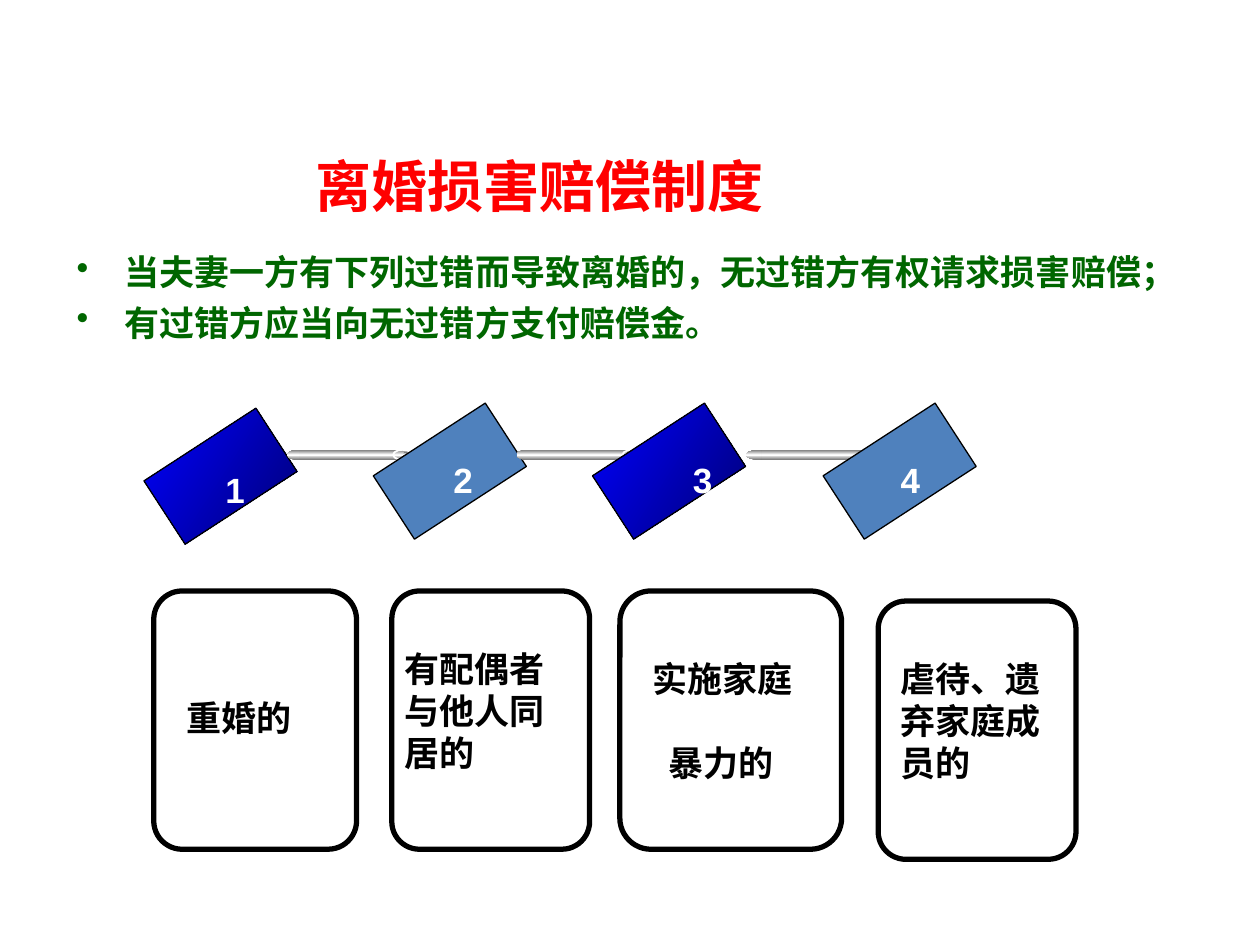
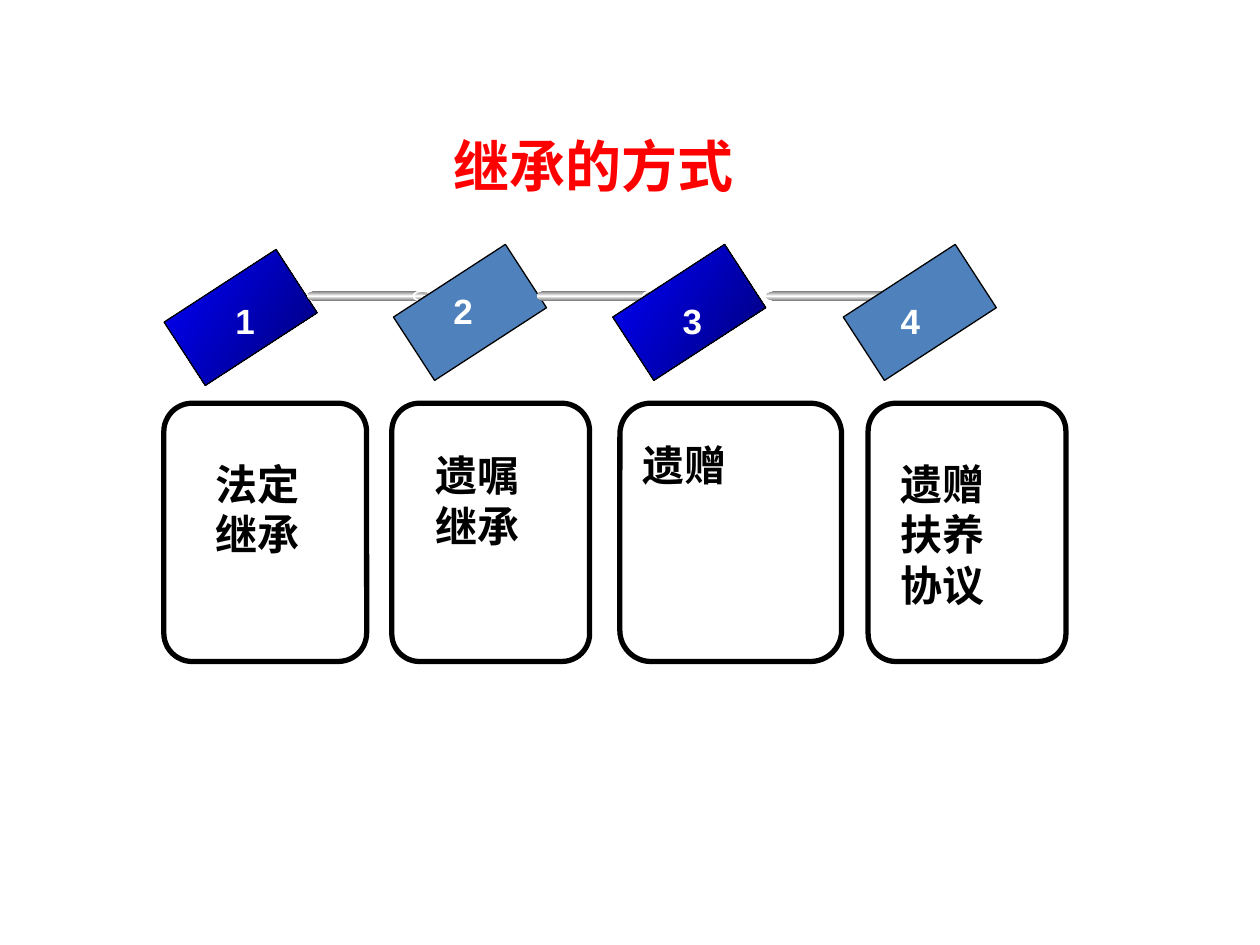
from dataclasses import dataclass

from pptx import Presentation
from pptx import util as u
from pptx.dml.color import RGBColor
from pptx.enum import shapes, text
from pptx.oxml import parse_xml
from pptx.oxml.ns import nsdecls, qn
from pptx.oxml.xmlchemy import OxmlElement

RED = RGBColor(0xFF, 0x00, 0x00)
GREEN = RGBColor(0x00, 0x66, 0x00)
BLACK = RGBColor(0x00, 0x00, 0x00)
WHITE = RGBColor(0xFF, 0xFF, 0xFF)
BLUE = RGBColor(0x00, 0x00, 0xFF)
NAVY = RGBColor(0x00, 0x00, 0x76)
STEEL = RGBColor(0x4F, 0x81, 0xBD)
GREY = RGBColor(0x76, 0x76, 0x76)

LATIN, CJK = "Arial", "Noto Sans CJK SC"
WIDTH, HEIGHT = u.Inches(10), u.Inches(7.5)
COLUMNS, ROWS = 100, 75

BLOCK_LEFTS = (0, 18.2, 35.6, 53.9)
RODS = ((8.3, 1), (26.5, 1), (44.7, 1.3))
ROD_TOP, ROD_HEIGHT = 3.6, 0.8
CARD_COLUMNS = ((31.1, 15.7), (49.2, 17.6))
CARD_HEIGHT = 20.5


@dataclass
class Box:
    """An area in grid columns and rows."""
    left: float
    top: float
    width: float
    height: float

    def inner(self, left, top, width, height):
        """Return a box placed from this box's corner."""
        return Box(self.left + left, self.top + top, width, height)

    def emu(self):
        """Return left, top, width and height as slide lengths."""
        across, down = WIDTH / COLUMNS, HEIGHT / ROWS
        return (round(self.left * across), round(self.top * down),
                round(self.width * across), round(self.height * down))


@dataclass
class Reason:
    """A card's wording with its text and number offsets."""
    lines: list
    text_at: tuple
    number_at: tuple


def write(frame, lines, size=20, color=BLACK, font=LATIN, align=None,
          bullet=None, gap=0, indent=0):
    """Fill a text frame with bold paragraphs in one format."""
    frame.word_wrap = True
    frame.auto_size = text.MSO_AUTO_SIZE.NONE
    frame.vertical_anchor = text.MSO_ANCHOR.TOP
    for index, line in enumerate(lines):
        paragraph = frame.add_paragraph() if index else frame.paragraphs[0]
        properties = paragraph._p.get_or_add_pPr()
        if bullet:
            properties.set("marL", str(u.Inches(0.38)))
            properties.set("indent", str(-u.Inches(0.38)))
            mark = OxmlElement("a:buChar")
            mark.set("char", bullet)
            properties.append(mark)
        elif index and indent:
            properties.set("marL", str(u.Inches(indent)))
        paragraph.alignment = align
        paragraph.line_spacing = u.Pt(size * 1.2)
        paragraph.space_before = u.Pt(gap if index else 0)
        run = paragraph.add_run()
        run.text = line
        run.font.size, run.font.bold = u.Pt(size), True
        run.font.name, run.font.color.rgb = font, color
        east_asian = OxmlElement("a:ea")
        east_asian.set("typeface", CJK)
        run.font._element.find(qn("a:latin")).addnext(east_asian)


def add_text(slide, box, lines, **style):
    """Add a text box."""
    write(slide.shapes.add_textbox(*box.emu()).text_frame, lines, **style)


def paint_gradient(shape, colors, angle):
    """Fill a shape with evenly spaced colours along a fixed angle."""
    step = 100000 // (len(colors) - 1)
    stops = "".join(f'<a:gs pos="{i * step}"><a:srgbClr val="{c}"/></a:gs>'
                    for i, c in enumerate(colors))
    shape.fill.gradient()
    properties = shape._element.spPr
    properties.replace(properties.find(qn("a:gradFill")), parse_xml(
        f'<a:gradFill {nsdecls("a")} rotWithShape="0"><a:gsLst>{stops}</a:gsLst>'
        f'<a:lin ang="{angle * 60000}" scaled="0"/></a:gradFill>'))


def add_figure(slide, kind, box, fill=None, angle=90, line=None, weight=1):
    """Add a preset shape with a plain, gradient or empty fill."""
    shape = slide.shapes.add_shape(kind, *box.emu())
    shape.shadow.inherit = False
    if fill is None:
        shape.fill.background()
    elif isinstance(fill, list):
        paint_gradient(shape, fill, angle)
    else:
        shape.fill.solid()
        shape.fill.fore_color.rgb = fill
    if line is None:
        shape.line.fill.background()
    else:
        shape.line.color.rgb = line
        shape.line.width = u.Pt(weight)
    return shape


def add_title(slide, box, wording):
    """Move and format the title placeholder."""
    title = slide.shapes.title
    title.left, title.top, title.width, title.height = box.emu()
    write(title.text_frame, [wording], size=32, color=RED, font=CJK,
          align=text.PP_ALIGN.JUSTIFY)


def add_rod(slide, box, stretch):
    """Draw a metal rod with rounded ends and a hollow tip."""
    oval, bar = shapes.MSO_SHAPE.OVAL, shapes.MSO_SHAPE.RECTANGLE
    parts = ((oval, 0, 0, 1.7, box.height, None),
             (bar, 0.95, 0, 8.2, box.height, None),
             (oval, 8.4, 0, 1.5, box.height, WHITE),
             (oval, 9.2, 0.2, 0.4, 0.3, None))
    for kind, left, top, width, height, line in parts:
        part = box.inner(left * stretch, top, width * stretch, height)
        add_figure(slide, kind, part, [GREY, WHITE, GREY], line=line)


def add_chain(slide, box, reasons):
    """Draw four tilted numbered blocks joined by rods."""
    for index, left in enumerate(BLOCK_LEFTS):
        fill = STEEL if index % 2 else [BLUE, NAVY]
        block = box.inner(left, 0 if index else 0.4, 6, 10.6)
        add_figure(slide, shapes.MSO_SHAPE.RECTANGLE, block, fill, angle=33,
                   line=BLACK, weight=0.75).rotation = 57
        if index < len(RODS):
            start, stretch = RODS[index]
            add_rod(slide, box.inner(start, ROD_TOP, 9.9 * stretch, ROD_HEIGHT), stretch)
    for number, (left, reason) in enumerate(zip(BLOCK_LEFTS, reasons), 1):
        across, down = reason.number_at
        add_text(slide, box.inner(left + across, down, 3.8, 4.4), [str(number)], color=WHITE)


def add_card(slide, box, reason, size):
    """Draw a rounded outline with its wording."""
    card = add_figure(slide, shapes.MSO_SHAPE.ROUNDED_RECTANGLE, box, line=BLACK, weight=3)
    card.adjustments[0] = 0.14
    left, top, width = reason.text_at
    add_text(slide, box.inner(left, top, width, 13), reason.lines, size=size,
             gap=24, indent=0.13)


def build_slide(deck, title, title_box, chain_box, cards_top, first, last,
                reasons, size, last_drop=0, points=()):
    """Build a title, optional points, a chain and a row of cards."""
    slide = deck.slides.add_slide(deck.slide_layouts[5])
    add_title(slide, title_box, title)
    if points:
        add_text(slide, Box(5.1, 19.4, 89.8, 11.8), points, color=GREEN, bullet="•", gap=5)
    columns = ((first, 16.1), *CARD_COLUMNS, (last, 15.7))
    for (left, width), reason in zip(columns, reasons):
        drop = last_drop if left == last else 0
        add_card(slide, Box(left, cards_top + drop, width, CARD_HEIGHT), reason, size)
    add_chain(slide, chain_box, reasons)


def main():
    """Build and save both slides."""
    deck = Presentation()
    deck.slide_width, deck.slide_height = WIDTH, HEIGHT
    build_slide(
        deck, "离婚损害赔偿制度", Box(24, 11.5, 43.3, 8.6), Box(14.5, 32.1, 60, 10.6),
        cards_top=46.9, first=12.2, last=69.7, last_drop=0.8, size=20,
        points=["当夫妻一方有下列过错而导致离婚的，无过错方有权请求损害赔偿；",
                "有过错方应当向无过错方支付赔偿金。"],
        reasons=[Reason(["重婚的"], (1.6, 7.9, 12), (2.4, 4.6)),
                 Reason(["有配偶者与他人同居的"], (0, 4, 14.2), (2.3, 3.8)),
                 Reason(["实施家庭", "暴力的"], (1.6, 4.8, 14.2), (3.9, 3.8)),
                 Reason(["虐待、遗弃家庭成员的"], (0.8, 4, 14.2), (2.1, 3.8))])
    build_slide(
        deck, "继承的方式", Box(35, 9.9, 28.2, 8.6), Box(16.1, 19.5, 60, 10.6),
        cards_top=32, first=13, last=68.9, size=24,
        reasons=[Reason(["法定继承"], (3.1, 3.9, 9.6), (1.6, 3.8)),
                 Reason(["遗嘱继承"], (2.5, 3.2, 11.2), (0.7, 3)),
                 Reason(["遗赠"], (0.8, 2.4, 17.3), (1.5, 3.8)),
                 Reason(["遗赠扶养协议"], (1.6, 3.9, 11.8), (0.5, 3.8))])
    deck.save("out.pptx")


if __name__ == "__main__":
    main()
